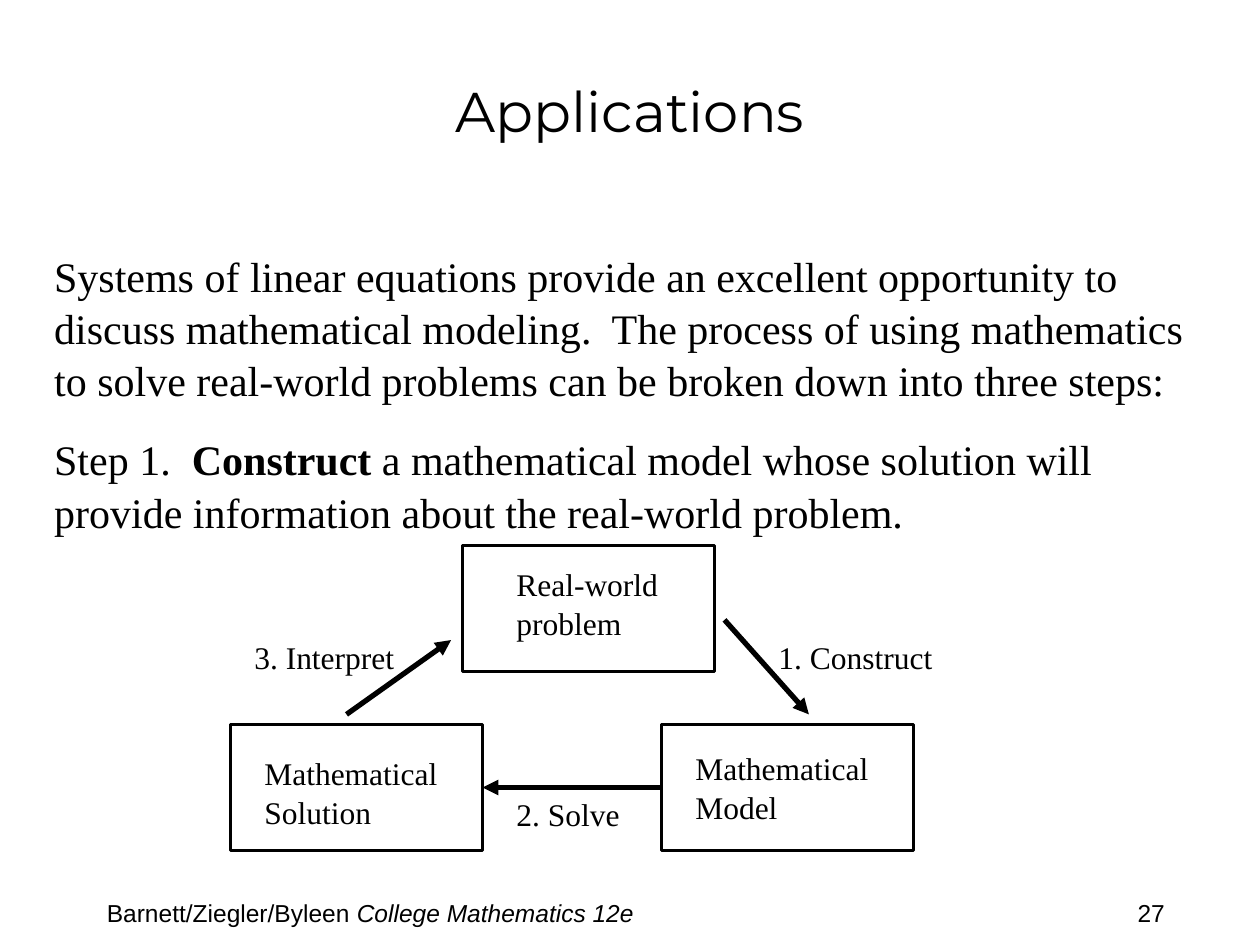
from lxml.etree import SubElement
from pptx import Presentation
from pptx.dml.color import RGBColor
from pptx.enum.shapes import MSO_CONNECTOR as Connector, MSO_SHAPE as Shape
from pptx.enum.text import MSO_ANCHOR as Anchor, MSO_AUTO_SIZE as AutoSize, PP_ALIGN as Align
from pptx.oxml.ns import qn
from pptx.util import Inches, Pt

COLOURS = {"ink": "000000"}
SERIF = "Times New Roman"
SANS = "Arial"
TITLE_FONT = "Montserrat"
BOX_SIZE = (2, 1)
LABEL_WIDTH = 1.58


def ink():
    return RGBColor.from_string(COLOURS["ink"])


def place(shape, left, top, width, height):
    shape.left, shape.top = Inches(left), Inches(top)
    shape.width, shape.height = Inches(width), Inches(height)


def add_span(para, text, font, size, bold=False, italic=False):
    span = para.add_run()
    span.text = text
    span.font.name = font
    span.font.size = Pt(size)
    span.font.bold = bold
    span.font.italic = italic
    span.font.color.rgb = ink()


def fill_title(page, text):
    title = page.shapes.title
    place(title, 0.75, 0.25, 8.5, 1.25)
    frame = title.text_frame
    frame.vertical_anchor = Anchor.MIDDLE
    para = frame.paragraphs[0]
    para.alignment = Align.CENTER
    add_span(para, text, TITLE_FONT, 32)


def fill_body(page, paragraphs):
    body = page.placeholders[1]
    place(body, 0.33, 1.92, 9.33, 2.31)
    frame = body.text_frame
    frame.auto_size = AutoSize.NONE
    for index, spans in enumerate(paragraphs):
        para = frame.add_paragraph() if index else frame.paragraphs[0]
        properties = para._p.get_or_add_pPr()
        properties.set("marL", "0")
        properties.set("indent", "0")
        SubElement(properties, qn("a:buNone"))
        para.space_before = Pt(15 if index else 0)
        para.line_spacing = 1.04
        for text, bold in spans:
            add_span(para, text, SERIF, 24, bold=bold)


def add_text(page, left, top, width, height, spans, font, size, wrap=True):
    box = page.shapes.add_textbox(Inches(left), Inches(top), Inches(width), Inches(height))
    frame = box.text_frame
    frame.word_wrap = wrap
    para = frame.paragraphs[0]
    for text, italic in spans:
        add_span(para, text, font, size, italic=italic)
    return para


def add_label(page, text, left, top, width=LABEL_WIDTH, height=0.4):
    para = add_text(page, left, top, width, height, [(text, False)], SERIF, 18)
    para.line_spacing = 1.04


def add_box(page, left, top):
    box = page.shapes.add_shape(Shape.RECTANGLE, Inches(left), Inches(top), *map(Inches, BOX_SIZE))
    box.shadow.inherit = False
    box.fill.background()
    box.line.color.rgb = ink()
    box.line.width = Pt(1.5)
    return box


def add_arrow(page, start, end):
    arrow = page.shapes.add_connector(Connector.STRAIGHT, *map(Inches, start + end))
    arrow.line.color.rgb = ink()
    arrow.line.width = Pt(3)
    SubElement(arrow.line._get_or_add_ln(), qn("a:tailEnd"), type="triangle")
    SubElement(arrow._element.spPr, qn("a:effectLst"))
    return arrow


def add_cycle(page):
    add_box(page, 3.67, 4.33)
    solution = add_box(page, 1.83, 5.75)
    model = add_box(page, 5.25, 5.75)

    add_label(page, "Real-world problem", 4, 4.42, 1.75, 0.7)
    add_label(page, "Mathematical Model", 5.42, 5.88, height=0.7)
    add_label(page, "Mathematical Solution", 2, 5.92, 1.67, 0.7)

    add_arrow(page, (5.75, 4.92), (6.42, 5.67))
    solve = add_arrow(page, (5.25, 6.25), (3.83, 6.25))
    solve.begin_connect(model, 1)
    solve.end_connect(solution, 3)
    add_arrow(page, (2.75, 5.67), (3.58, 5.08))

    add_label(page, "1. Construct", 6.08, 5)
    add_label(page, "2. Solve", 4, 6.25)
    add_label(page, "3. Interpret", 1.92, 5)


def main():
    deck = Presentation()
    deck.slide_width, deck.slide_height = Inches(10), Inches(7.5)
    page = deck.slides.add_slide(deck.slide_layouts[1])
    fill_title(page, "Applications")
    fill_body(page, [
        [("Systems of linear equations provide an excellent opportunity to discuss "
          "mathematical modeling.  The process of using mathematics to solve "
          "real-world problems can be broken down into three steps:", False)],
        [("Step 1.  ", False),
         ("Construct", True),
         (" a mathematical model whose solution will provide information "
          "about the real-world problem.", False)],
    ])
    add_cycle(page)
    add_text(page, 0.75, 7.08, 5.83, 0.25,
             [("Barnett/Ziegler/Byleen ", False), ("College Mathematics 12e", True)], SANS, 14)
    add_text(page, 8.93, 7.08, 1.09, 0.34, [("27", False)], SANS, 14, wrap=False)
    deck.save("out.pptx")


if __name__ == "__main__":
    main()
